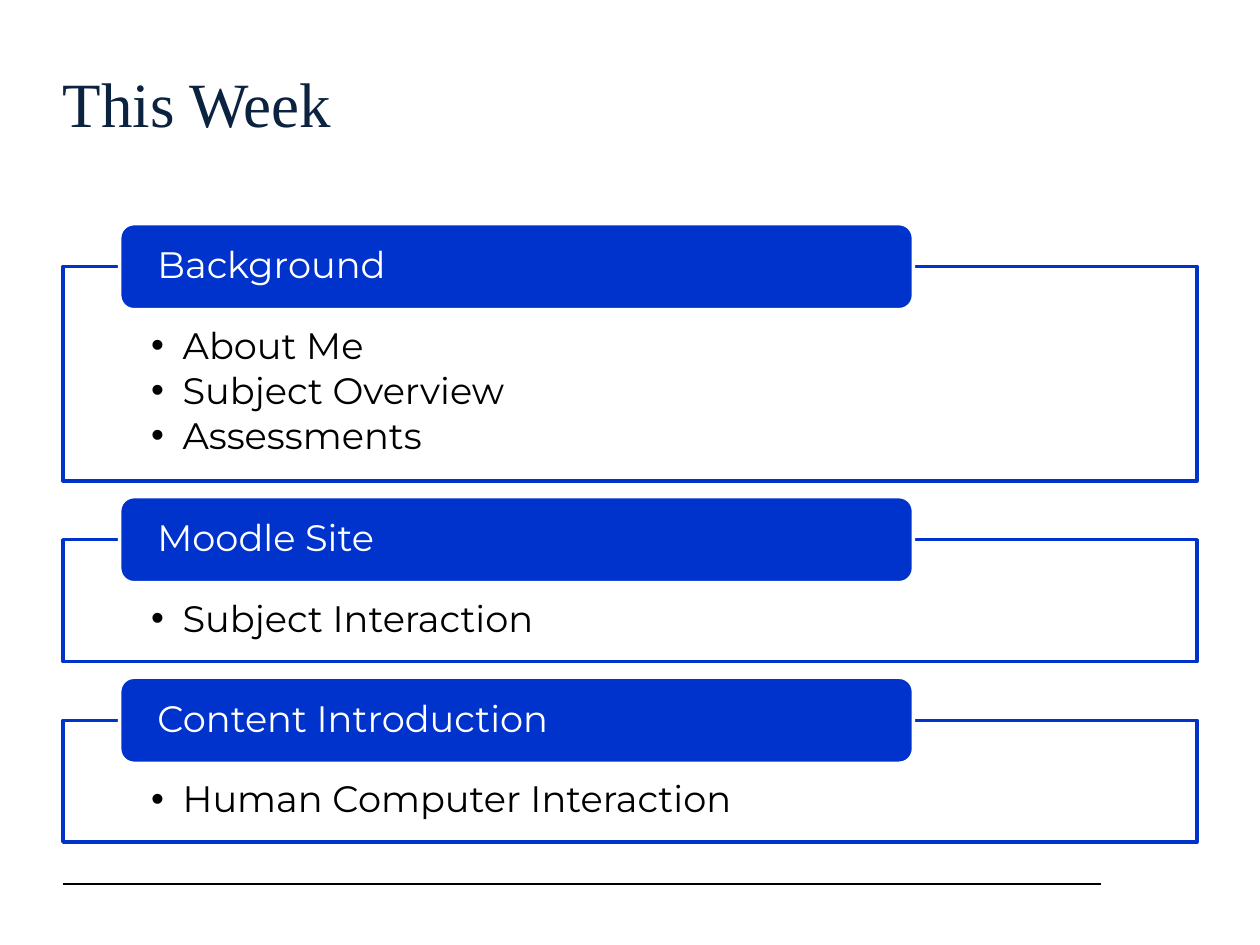
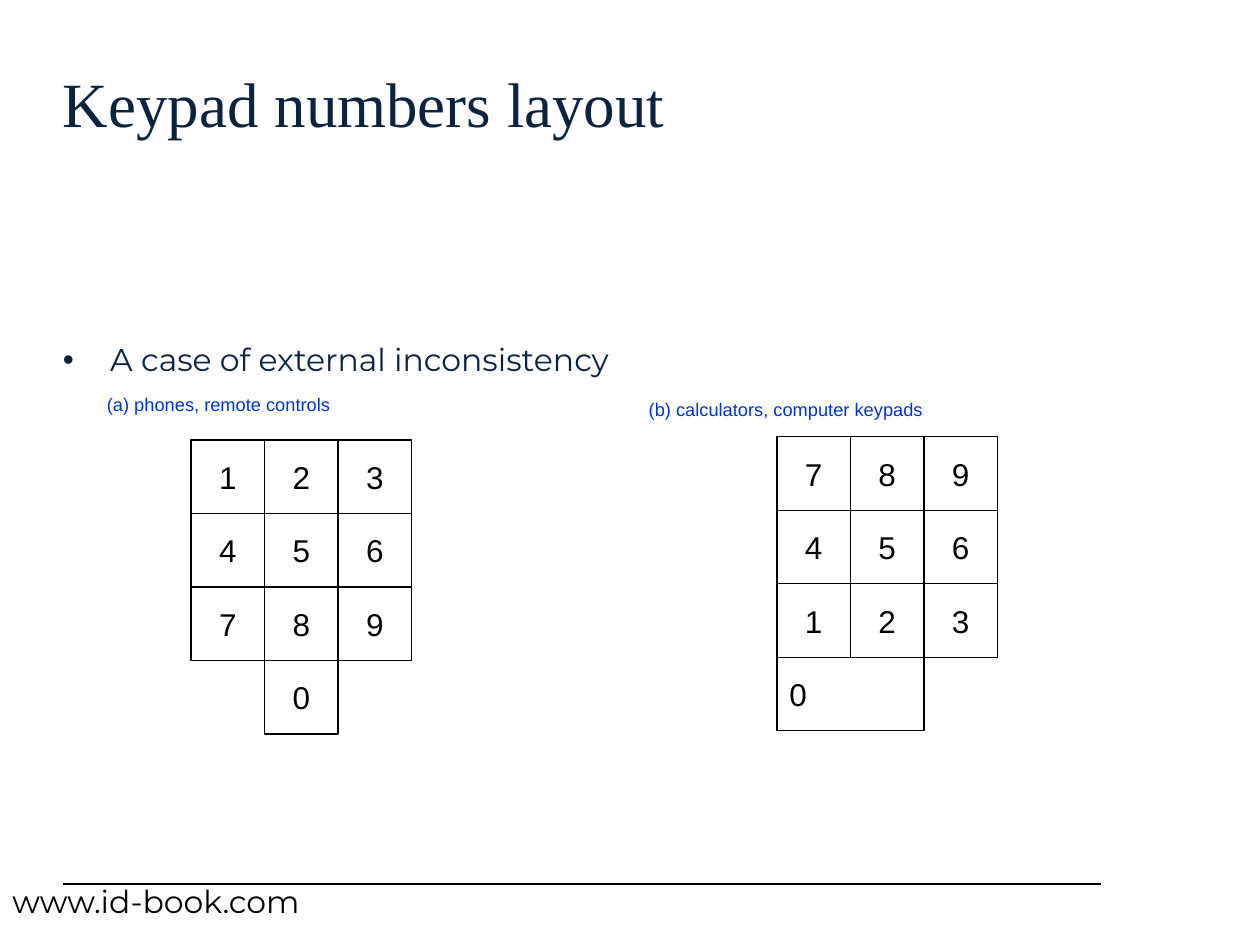
from lxml.etree import SubElement
from pptx import Presentation
from pptx.dml.color import RGBColor
from pptx.enum.shapes import MSO_CONNECTOR, MSO_SHAPE
from pptx.enum.text import MSO_ANCHOR, PP_ALIGN
from pptx.oxml.ns import qn
from pptx.util import Emu, Pt

EMU_PER_PX = 7620  # 120 px to the inch
NAVY, BLUE, BLACK, WHITE = "0C2340", "0033CC", "000000", "FFFFFF"
SERIF, SANS, PLAIN = "Times New Roman", "Montserrat", "Arial"

PANELS = [
    ("Background", ["About Me", "Subject Overview", "Assessments"]),
    ("Moodle Site", ["Subject Interaction"]),
    ("Content Introduction", ["Human Computer Interaction"]),
]
KEY_SIZE = 70


def px(length):
    return Emu(length * EMU_PER_PX)


def color(hex_string):
    return RGBColor.from_string(hex_string)


def set_attributes(target, values):
    for name, value in values.items():
        setattr(target, name, value)


class Deck:
    """Holds the shared style and the slide being built."""

    def __init__(self):
        self.presentation = Presentation()
        self.presentation.slide_width = px(1200)
        self.presentation.slide_height = px(900)
        self.slide = None

    def new_slide(self, title):
        self.slide = self.presentation.slides.add_slide(self.presentation.slide_layouts[6])
        self.rule(60, 1049, 842)
        self.text_box((60, 54, 955, 112), [title], SERIF, 36, NAVY, insets=(0, 7, 12, 6))

    def rule(self, left, right, top):
        line = self.slide.shapes.add_connector(
            MSO_CONNECTOR.STRAIGHT, px(left), px(top), px(right), px(top))
        line.line.color.rgb = color(BLACK)
        line.line.width = Pt(0.75)
        SubElement(line._element.spPr, qn("a:effectLst"))

    def text_box(self, box, lines, font, size, ink, **layout):
        shape = self.slide.shapes.add_textbox(*map(px, box))
        self.fill_text(shape, lines, font, size, ink, **layout)

    def box(self, box, lines, font, size, ink, line, width, fill=None,
            kind=MSO_SHAPE.RECTANGLE, **layout):
        shape = self.slide.shapes.add_shape(kind, *map(px, box))
        shape.shadow.inherit = False
        if fill:
            shape.fill.solid()
            shape.fill.fore_color.rgb = color(fill)
        else:
            shape.fill.background()
        shape.line.color.rgb = color(line)
        shape.line.width = Pt(width)
        self.fill_text(shape, lines, font, size, ink, **layout)

    def fill_text(self, shape, lines, font, size, ink, insets=(12, 6, 12, 6),
                  anchor=MSO_ANCHOR.TOP, indent=0, subscript=False, **paragraph_format):
        """Fill a shape with paragraphs; an indent makes them bulleted."""
        frame = shape.text_frame
        sides = ("margin_left", "margin_top", "margin_right", "margin_bottom")
        set_attributes(frame, dict(zip(sides, map(px, insets)),
                                   word_wrap=True, vertical_anchor=anchor))
        for index, text in enumerate(lines):
            paragraph = frame.paragraphs[0] if index == 0 else frame.add_paragraph()
            if indent:
                self.bullet(paragraph, indent)
            set_attributes(paragraph, {"alignment": PP_ALIGN.LEFT, **paragraph_format})
            run = paragraph.add_run()
            run.text = text
            set_attributes(run.font, {"name": font, "size": Pt(size)})
            run.font.color.rgb = color(ink)
            if subscript:
                run._r.get_or_add_rPr().set("baseline", "-25000")

    def bullet(self, paragraph, indent):
        properties = paragraph._p.get_or_add_pPr()
        properties.set("marL", str(px(indent)))
        properties.set("indent", str(-px(indent)))
        SubElement(properties, qn("a:buFont"), typeface=PLAIN)
        SubElement(properties, qn("a:buChar"), char="•")

    def panel(self, top, heading, items):
        """Draw a framed list with its heading bar and return its bottom edge."""
        height = 116 + 44 * (len(items) - 1)
        self.box((60, top, 1080, height), items, SANS, 21, BLACK, BLUE, 2, fill=WHITE,
                 insets=(84, 58, 84, 19), indent=30, line_spacing=0.9, space_after=Pt(3))
        self.box((114, top - 41, 756, 82), [heading], SANS, 21, WHITE, WHITE, 2, fill=BLUE,
                 kind=MSO_SHAPE.ROUNDED_RECTANGLE, insets=(32, 0, 32, 0),
                 anchor=MSO_ANCHOR.MIDDLE, line_spacing=0.9)
        return top + height

    def key(self, left, top, digit, columns=1):
        alignment = PP_ALIGN.CENTER if columns == 1 else PP_ALIGN.LEFT
        self.box((left, top, KEY_SIZE * columns, KEY_SIZE), [digit], PLAIN, 18, BLACK,
                 BLACK, 0.75, anchor=MSO_ANCHOR.MIDDLE, alignment=alignment)

    def keypad(self, left, top, rows, zero_column, zero_columns):
        for row, digits in enumerate(rows):
            for column, digit in enumerate(digits):
                self.key(left + column * KEY_SIZE, top + row * KEY_SIZE, digit)
        self.key(left + zero_column * KEY_SIZE, top + len(rows) * KEY_SIZE, "0", zero_columns)

    def caption(self, box, text):
        self.text_box(box, [text], PLAIN, 18, BLUE, subscript=True)


def build_this_week(deck):
    deck.new_slide("This Week")
    top = 254
    for heading, items in PANELS:
        top = deck.panel(top, heading, items) + 56


def build_keypad_layout(deck):
    deck.new_slide("Keypad numbers layout")
    deck.text_box((60, 233, 955, 589), ["A case of external inconsistency"], SANS, 18, NAVY,
                  insets=(0, 91, 12, 6), indent=45)
    deck.text_box((0, 834, 380, 48), ["www.id-book.com"], SANS, 18, BLACK)
    rows = ["123", "456", "789"]
    deck.keypad(182, 419, rows, zero_column=1, zero_columns=1)
    deck.keypad(740, 416, rows[::-1], zero_column=0, zero_columns=2)
    deck.caption((90, 349, 395, 48), "(a) phones, remote controls")
    deck.caption((606, 353, 479, 48), "(b) calculators, computer keypads")


def main():
    deck = Deck()
    build_this_week(deck)
    build_keypad_layout(deck)
    deck.presentation.save("out.pptx")


if __name__ == "__main__":
    main()
